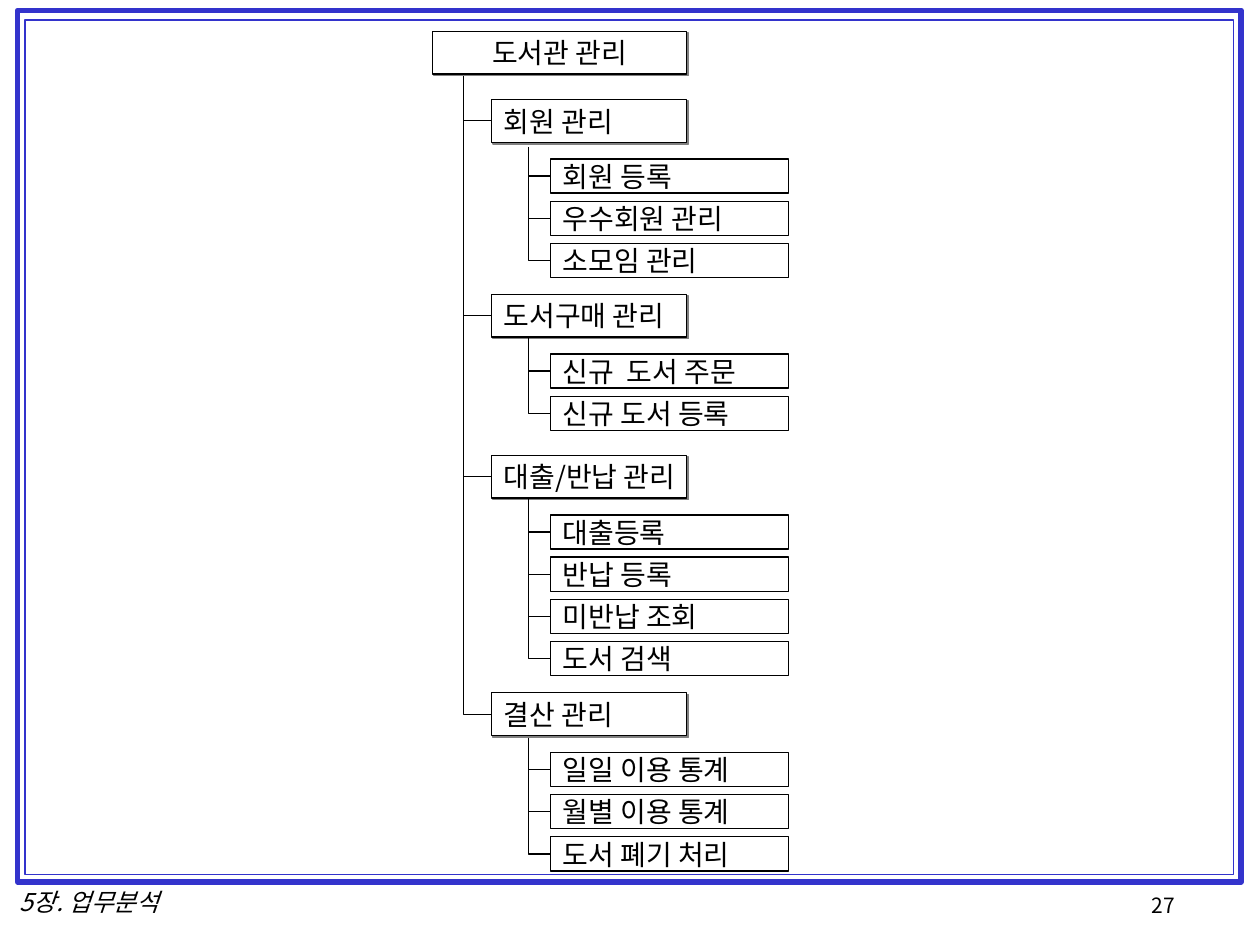
"""Build the library management function chart slide."""
from lxml import etree
from pptx import Presentation
from pptx.dml.color import RGBColor
from pptx.enum.shapes import MSO_CONNECTOR, MSO_SHAPE
from pptx.enum.text import MSO_ANCHOR, PP_ALIGN
from pptx.oxml.ns import qn
from pptx.util import Pt

BLACK = RGBColor(0x00, 0x00, 0x00)
WHITE = RGBColor(0xFF, 0xFF, 0xFF)
BLUE = RGBColor(0x33, 0x33, 0xCC)
SHADOW = RGBColor(0x80, 0x80, 0x80)
RECTANGLE = MSO_SHAPE.RECTANGLE
STRAIGHT = MSO_CONNECTOR.STRAIGHT
LEFT, CENTER = PP_ALIGN.LEFT, PP_ALIGN.CENTER
MIDDLE = MSO_ANCHOR.MIDDLE
FONT = "Noto Sans CJK KR"

ROOT_LEFT, ROOT_TOP, ROOT_WIDTH = 247, 17.9, 145.4
HEAD_LEFT, HEAD_WIDTH, HEAD_HEIGHT = 280.8, 111.6, 24.5
LEAF_LEFT, LEAF_WIDTH, LEAF_HEIGHT = 314.6, 136.1, 19.5
LEAF_OFFSET, LEAF_PITCH = 34.1, 24.1
TRUNK_X, STEM_X = 265, 302.2

GROUPS = [
    ("회원 관리", 56.8, 84, ["회원 등록", "우수회원 관리", "소모임 관리"]),
    ("도서구매 관리", 168.2, 193, ["신규  도서 주문", "신규 도서 등록"]),
    ("대출/반납 관리", 260.2, 285, ["대출등록", "반납 등록", "미반납 조회", "도서 검색"]),
    ("결산 관리", 395.9, 422, ["일일 이용 통계", "월별 이용 통계", "도서 폐기 처리"]),
]


def write(box, text, size, align=LEFT, italic=False):
    frame = box.text_frame
    frame.text = text
    frame.word_wrap = False
    para = frame.paragraphs[0]
    para.alignment = align
    for span in para.runs:
        span.font.name = FONT
        span.font.size = Pt(size)
        span.font.italic = italic
        span.font.color.rgb = BLACK
        etree.SubElement(span.font._element, qn("a:ea"), typeface=FONT)


def draw_branch(x, top, end_x, arm_ys):
    builder = page.shapes.build_freeform(Pt(x), Pt(top))
    builder.add_line_segments([(Pt(x), Pt(arm_ys[-1])), (Pt(end_x), Pt(arm_ys[-1]))], close=False)
    elbow = builder.convert_to_shape()
    elbow.shadow.inherit = False
    elbow.fill.background()
    lines = [elbow]
    for y in arm_ys[:-1]:
        arm = page.shapes.add_connector(STRAIGHT, Pt(x), Pt(y), Pt(end_x), Pt(y))
        etree.SubElement(arm._element.spPr, qn("a:effectLst"))
        lines.append(arm)
    for line in lines:
        line.line.color.rgb = BLACK
        line.line.width = Pt(0.75)


deck = Presentation()
deck.slide_width, deck.slide_height = Pt(720), Pt(540)
page = deck.slides.add_slide(deck.slide_layouts[6])

footer = page.shapes.add_textbox(Pt(-0.7), Pt(503.3), Pt(103.7), Pt(24.5))
write(footer, "5장. 업무분석", 14, CENTER, italic=True)
number = page.shapes.add_textbox(Pt(651), Pt(506.2), Pt(73.4), Pt(23.8))
write(number, "27", 12)

for left, top, width, height, weight in [(10.1, 5.8, 699.1, 498.2, 3), (14.4, 11.5, 690.5, 488.2, 1)]:
    border = page.shapes.add_shape(RECTANGLE, Pt(left), Pt(top), Pt(width), Pt(height))
    border.shadow.inherit = False
    border.fill.background()
    border.line.color.rgb = BLUE
    border.line.width = Pt(weight)

draw_branch(TRUNK_X, 42, 283, [top + HEAD_HEIGHT / 2 for _, top, _, _ in GROUPS])

boxes = [("도서관 관리", ROOT_LEFT, ROOT_TOP, ROOT_WIDTH, HEAD_HEIGHT, CENTER, True)]
for heading, top, _, leaves in GROUPS:
    boxes.append((heading, HEAD_LEFT, top, HEAD_WIDTH, HEAD_HEIGHT, LEFT, True))
    for index, leaf in enumerate(leaves):
        leaf_top = top + LEAF_OFFSET + index * LEAF_PITCH
        boxes.append((leaf, LEAF_LEFT, leaf_top, LEAF_WIDTH, LEAF_HEIGHT, LEFT, False))

for text, left, top, width, height, align, raised in boxes:
    box = page.shapes.add_shape(RECTANGLE, Pt(left), Pt(top), Pt(width), Pt(height))
    box.shadow.inherit = False
    box.fill.solid()
    box.fill.fore_color.rgb = WHITE
    box.line.color.rgb = BLACK
    box.line.width = Pt(0.75)
    box.text_frame.vertical_anchor = MIDDLE
    write(box, text, 16, align)
    if raised:
        effects = box._element.spPr.find(qn("a:effectLst"))
        shadow = etree.SubElement(effects, qn("a:outerShdw"), dist=str(Pt(1.4)), dir="2700000", algn="ctr", rotWithShape="0")
        etree.SubElement(shadow, qn("a:srgbClr"), val=str(SHADOW))

for _, top, stem_top, leaves in GROUPS:
    first_y = top + LEAF_OFFSET + LEAF_HEIGHT / 2
    draw_branch(STEM_X, stem_top, LEAF_LEFT, [first_y + index * LEAF_PITCH for index in range(len(leaves))])

deck.save("out.pptx")
